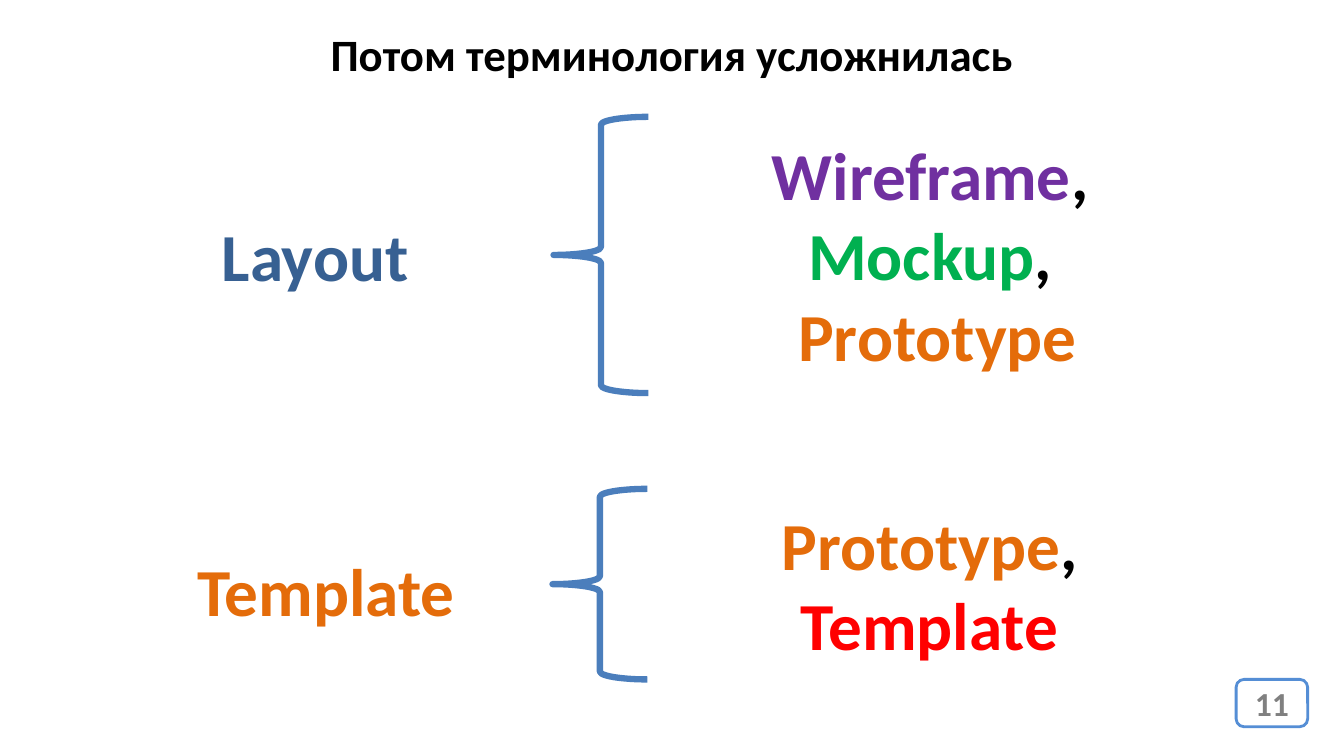
from pptx import Presentation
from pptx.dml.color import RGBColor
from pptx.enum.shapes import MSO_SHAPE
from pptx.enum.text import MSO_ANCHOR, MSO_AUTO_SIZE, PP_ALIGN
from pptx.util import Inches, Pt

BRACE, ROUND = MSO_SHAPE.LEFT_BRACE, MSO_SHAPE.ROUNDED_RECTANGLE
LEFT, MID = PP_ALIGN.LEFT, PP_ALIGN.CENTER

# Content: each line is a list of (text, colour) runs
TITLE = "Потом терминология усложнилась"
PAGE = "11"
GROUPS = [
    {
        "term": ("Layout", "navy"), "term_at": (2.1, 2.08, 2.68, 0.91),
        "brace_at": (5.49, 1.16, 0.94, 2.74),
        "parts": [
            [("Wireframe", "violet"), (", ", "black")],
            [("Mockup", "green"), (", ", "black")],
            [("Prototype", "orange")],
        ],
        "parts_at": (6.27, 1.27, 6.06, 2.52),
    },
    {
        "term": ("Template", "orange"), "term_at": (1.86, 5.4, 2.78, 0.91),
        "brace_at": (5.48, 4.85, 0.94, 1.89),
        "parts": [
            [("Prototype", "orange"), (",", "black")],
            [("Template", "red")],
        ],
        "parts_at": (6.19, 4.94, 6.06, 1.72),
    },
]
COLORS = {
    "black": "000000", "white": "FFFFFF", "gray": "808080", "navy": "376092",
    "violet": "7030A0", "green": "00B050", "orange": "E46C0A", "red": "FF0000",
    "brace": "4B7EBC", "frame": "558ED5",
}
FONT = "Calibri"
WIDE, HIGH = 13.33, 7.5


def rgb(name):
    return RGBColor.from_string(COLORS[name])


def box(at):
    return [Inches(v) for v in at]


def write(frame, lines, size, align, anchor=MSO_ANCHOR.TOP):
    frame.word_wrap = True
    frame.auto_size = MSO_AUTO_SIZE.NONE
    frame.vertical_anchor = anchor
    for i, line in enumerate(lines):
        para = frame.add_paragraph() if i else frame.paragraphs[0]
        para.alignment = align
        para.font.name, para.font.size, para.font.bold = FONT, Pt(size), True
        for text, color in line:
            run = para.add_run()
            run.text = text
            run.font.color.rgb = rgb(color)


def add_shape(kind, at, color, width):
    shape = slide.shapes.add_shape(kind, *box(at))
    shape.shadow.inherit = False
    shape.fill.background()
    shape.line.color.rgb = rgb(color)
    shape.line.width = Pt(width)
    return shape


deck = Presentation()
deck.slide_width, deck.slide_height = Inches(WIDE), Inches(HIGH)
slide = deck.slides.add_slide(deck.slide_layouts[5])

# Title
title = slide.shapes.title
title.left, title.top, title.width, title.height = box((0, 0.21, WIDE, 0.64))
write(title.text_frame, [[(TITLE, "black")]], 32, MID, MSO_ANCHOR.MIDDLE)

# Terms, braces and the words they split into
for group in GROUPS:
    term = slide.shapes.add_textbox(*box(group["term_at"]))
    write(term.text_frame, [[group["term"]]], 48, LEFT)
    add_shape(BRACE, group["brace_at"], "brace", 4.5)
    parts = slide.shapes.add_textbox(*box(group["parts_at"]))
    write(parts.text_frame, group["parts"], 48, MID)

# Page number
badge = add_shape(ROUND, (12.26, 6.74, 0.71, 0.47), "frame", 2)
badge.fill.solid()
badge.fill.fore_color.rgb = rgb("white")
write(badge.text_frame, [[(PAGE, "gray")]], 24, MID, MSO_ANCHOR.MIDDLE)

deck.save("out.pptx")
